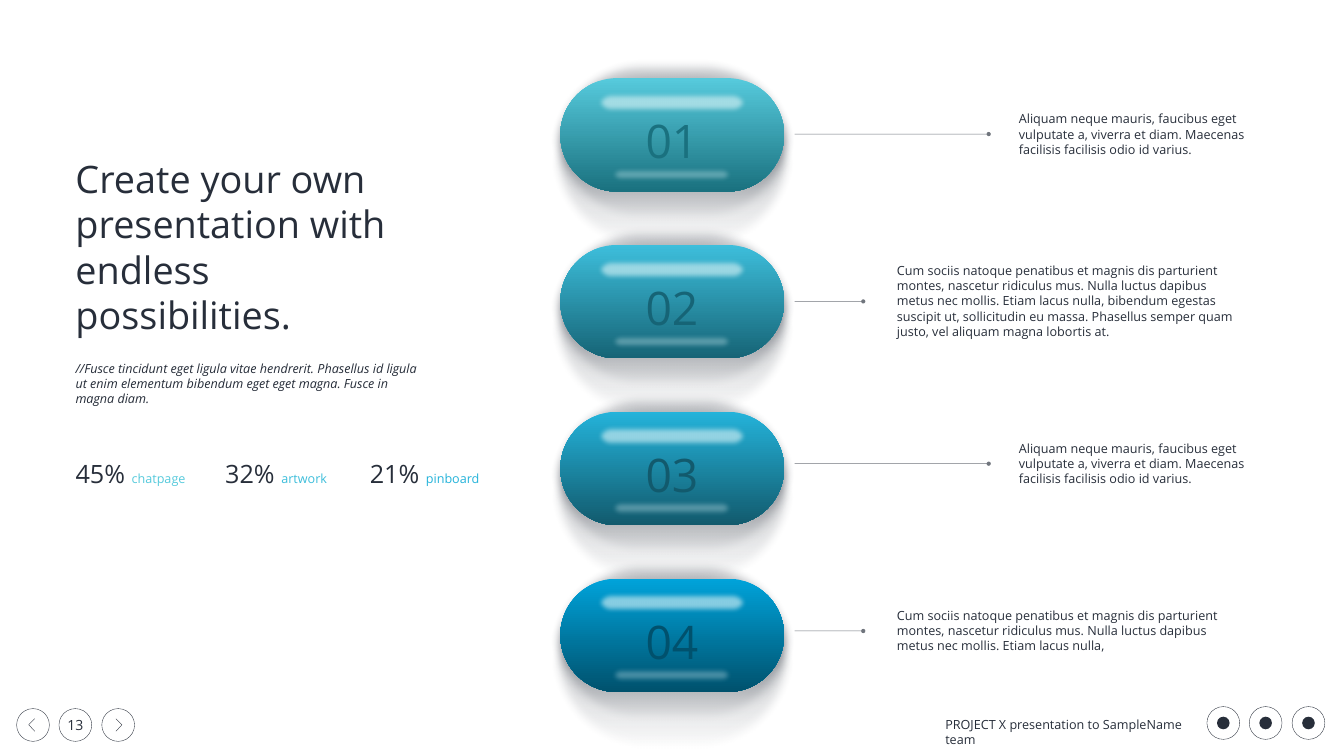
from lxml import etree
from pptx import Presentation
from pptx.dml.color import RGBColor
from pptx.enum.shapes import MSO_CONNECTOR as Connector, MSO_SHAPE as Shape
from pptx.enum.text import MSO_ANCHOR as Anchor, MSO_AUTO_SIZE as AutoSize, PP_ALIGN as Align
from pptx.oxml import parse_xml
from pptx.oxml.ns import nsdecls, qn
from pptx.util import Inches, Pt

FONT = "Open Sans"
INK = "272E3A"
GLOSS = "DDF4F8"
PILL_COLORS = [("56CADC", "1A717F"), ("3DBEDB", "166476"),
               ("24B3DA", "125A6D"), ("00A3DA", "00516D")]
PILL_STEP = 3.31

SHORT_NOTE = ("Aliquam neque mauris, faucibus eget vulputate a, viverra et diam. "
              "Maecenas facilisis facilisis odio id varius.")
LONG_NOTE = ("Cum sociis natoque penatibus et magnis dis parturient montes, nascetur "
             "ridiculus mus. Nulla luctus dapibus metus nec mollis. Etiam lacus nulla,")
LONGER_NOTE = LONG_NOTE + (" bibendum egestas suscipit ut, sollicitudin eu massa. "
                           "Phasellus semper quam justo, vel aliquam magna lobortis at.")


def rgb(color):
    return RGBColor.from_string(color)


def set_alpha(color_element, percent):
    etree.SubElement(color_element, qn("a:alpha")).set("val", str(percent * 1000))


def add_text(shapes, left, top, width, height, runs, wrap=True, anchor=Anchor.TOP,
             align=Align.LEFT, italic=False):
    """Add one paragraph; runs is a list of (words, size, color)."""
    box = shapes.add_textbox(Inches(left), Inches(top), Inches(width), Inches(height))
    frame = box.text_frame
    frame.word_wrap = wrap
    frame.auto_size = AutoSize.SHAPE_TO_FIT_TEXT
    frame.vertical_anchor = anchor
    paragraph = frame.paragraphs[0]
    paragraph.alignment = align
    for words, size, color in runs:
        run = paragraph.add_run()
        run.text = words
        run.font.name = FONT
        run.font.size = Pt(size)
        run.font.italic = italic
        run.font.color.rgb = rgb(color)


def add_plain_shape(shapes, kind, left, top, width, height):
    shape = shapes.add_shape(kind, Inches(left), Inches(top), Inches(width), Inches(height))
    shape.shadow.inherit = False
    shape.fill.background()
    shape.line.fill.background()
    return shape


def outline(shape):
    shape.line.color.rgb = rgb(INK)
    shape.line.width = Pt(0.5)


def add_ring(shapes, left, top):
    outline(add_plain_shape(shapes, Shape.OVAL, left, top, 0.65, 0.65))


def add_capsule(shapes, left, top, width, height, soft=0):
    capsule = add_plain_shape(shapes, Shape.ROUNDED_RECTANGLE, left, top, width, height)
    capsule.adjustments[0] = 0.5
    if soft:
        effects = capsule._element.spPr.find(qn("a:effectLst"))
        etree.SubElement(effects, qn("a:softEdge")).set("rad", str(Inches(soft)))
    return capsule


def fill_gradient(shape, stops):
    """Fill from top to bottom; stops are (position, color, opacity) in percent."""
    gradient = parse_xml(f'<a:gradFill {nsdecls("a")} rotWithShape="1"><a:gsLst/>'
                         '<a:lin ang="5400000" scaled="0"/></a:gradFill>')
    for position, color, opacity in stops:
        stop = etree.SubElement(gradient[0], qn("a:gs"))
        stop.set("pos", str(position * 1000))
        color_element = etree.SubElement(stop, qn("a:srgbClr"))
        color_element.set("val", color)
        if opacity < 100:
            set_alpha(color_element, opacity)
    properties = shape._element.spPr
    properties.replace(properties.find(qn("a:noFill")), gradient)


def fill_gloss(shape, opacity):
    shape.fill.solid()
    shape.fill.fore_color.rgb = rgb(GLOSS)
    set_alpha(shape._element.spPr.find(qn("a:solidFill"))[0], opacity)


def add_pill(slide, index, light, dark):
    shapes = slide.shapes.add_group_shape().shapes
    top = 1.15 + index * PILL_STEP
    for offset, height, middle in [(0.24, 3.68, 27), (0, 3.33, 55)]:
        shade = add_capsule(shapes, 10.9, top + offset, 4.88, height, soft=0.2)
        fill_gradient(shade, [(0, INK, 17), (42, INK, middle), (100, INK, 0)])
    body = add_capsule(shapes, 11.12, top + 0.4, 4.44, 2.25)
    fill_gradient(body, [(0, light, 100), (100, dark, 100)])
    fill_gloss(add_capsule(shapes, 12.08, top + 2.15, 2.5, 0.33, soft=0.1), 35)
    add_text(shapes, 12.69, top + 1.03, 1.29, 1.21, [(f"{index + 1:02}", 66, dark)],
             wrap=False, anchor=Anchor.MIDDLE, align=Align.CENTER)
    fill_gloss(add_capsule(shapes, 11.82, top + 0.66, 3.03, 0.44, soft=0.1), 61)


def add_leader(slide, right, y):
    """Draw a pale line from a dot at the note back to the pill."""
    leader = slide.shapes.add_connector(Connector.STRAIGHT, Inches(right), Inches(y),
                                        Inches(15.77), Inches(y))
    leader.line.color.rgb = rgb(INK)
    leader.line.width = Pt(0.75)
    properties = leader._element.spPr
    line = properties.find(qn("a:ln"))
    set_alpha(line.find(qn("a:solidFill"))[0], 65)
    etree.SubElement(line, qn("a:headEnd")).set("type", "oval")
    etree.SubElement(properties, qn("a:effectLst"))


def add_chevron(slide, tip, back):
    builder = slide.shapes.build_freeform(Inches(back), Inches(14.26))
    builder.add_line_segments([(Inches(tip), Inches(14.38)), (Inches(back), Inches(14.51))],
                              close=False)
    chevron = builder.convert_to_shape()
    chevron.shadow.inherit = False
    chevron.fill.background()
    outline(chevron)


def add_footer(slide):
    for left in (0.33, 1.17, 2.02):
        add_ring(slide.shapes, left, 14.06)
    add_chevron(slide, 0.57, 0.69)
    add_chevron(slide, 2.42, 2.3)
    add_text(slide.shapes, 1.17, 14.13, 0.65, 0.5, [("13", 20, INK)], wrap=False,
             anchor=Anchor.MIDDLE, align=Align.CENTER)
    add_text(slide.shapes, 18.66, 14.17, 5.15, 0.4,
             [("PROJECT X presentation to SampleName team", 18, INK)])
    for left in (23.95, 24.79, 25.64):
        add_ring(slide.shapes, left, 14.02)
        icon = add_plain_shape(slide.shapes, Shape.OVAL, left + 0.2, 14.22, 0.25, 0.25)
        icon.fill.solid()
        icon.fill.fore_color.rgb = rgb(INK)


def add_intro(slide):
    add_text(slide.shapes, 1.4, 3.04, 6.8, 3.74,
             [("Create your own presentation with endless possibilities.", 54, INK)])
    add_text(slide.shapes, 1.4, 7.11, 7.15, 1.01,
             [("//Fusce tincidunt eget ligula vitae hendrerit. Phasellus id ligula ut enim "
               "elementum bibendum eget eget magna. Fusce in magna diam.", 18, INK)],
             italic=True)
    stats = [(1.4, 2.61, "45% ", "chatpage"), (4.37, 2.51, "32% ", "artwork"),
             (7.24, 2.61, "21% ", "pinboard")]
    for (left, width, share, channel), (light, _) in zip(stats, PILL_COLORS):
        add_text(slide.shapes, left, 9.05, width, 0.71,
                 [(share, 36, INK), (channel, 18, light)], wrap=False)


def add_notes_column(slide):
    notes = [(19.62, 2.66, 20.12, 2.16, 4.88, 1.01, SHORT_NOTE),
             (17.13, 5.98, 17.7, 5.17, 6.93, 1.62, LONGER_NOTE),
             (19.62, 9.2, 20.12, 8.7, 4.88, 1.01, SHORT_NOTE),
             (17.13, 12.52, 17.7, 12.01, 6.93, 1.01, LONG_NOTE)]
    for dot, y, left, top, width, height, words in notes:
        add_leader(slide, dot, y)
        add_text(slide.shapes, left, top, width, height, [(words, 18, INK)])


def main():
    deck = Presentation()
    deck.slide_width, deck.slide_height = Inches(26.67), Inches(15)
    slide = deck.slides.add_slide(deck.slide_layouts[6])
    add_footer(slide)
    for index, (light, dark) in enumerate(PILL_COLORS):
        add_pill(slide, index, light, dark)
    add_notes_column(slide)
    add_intro(slide)
    deck.save("out.pptx")


if __name__ == "__main__":
    main()
